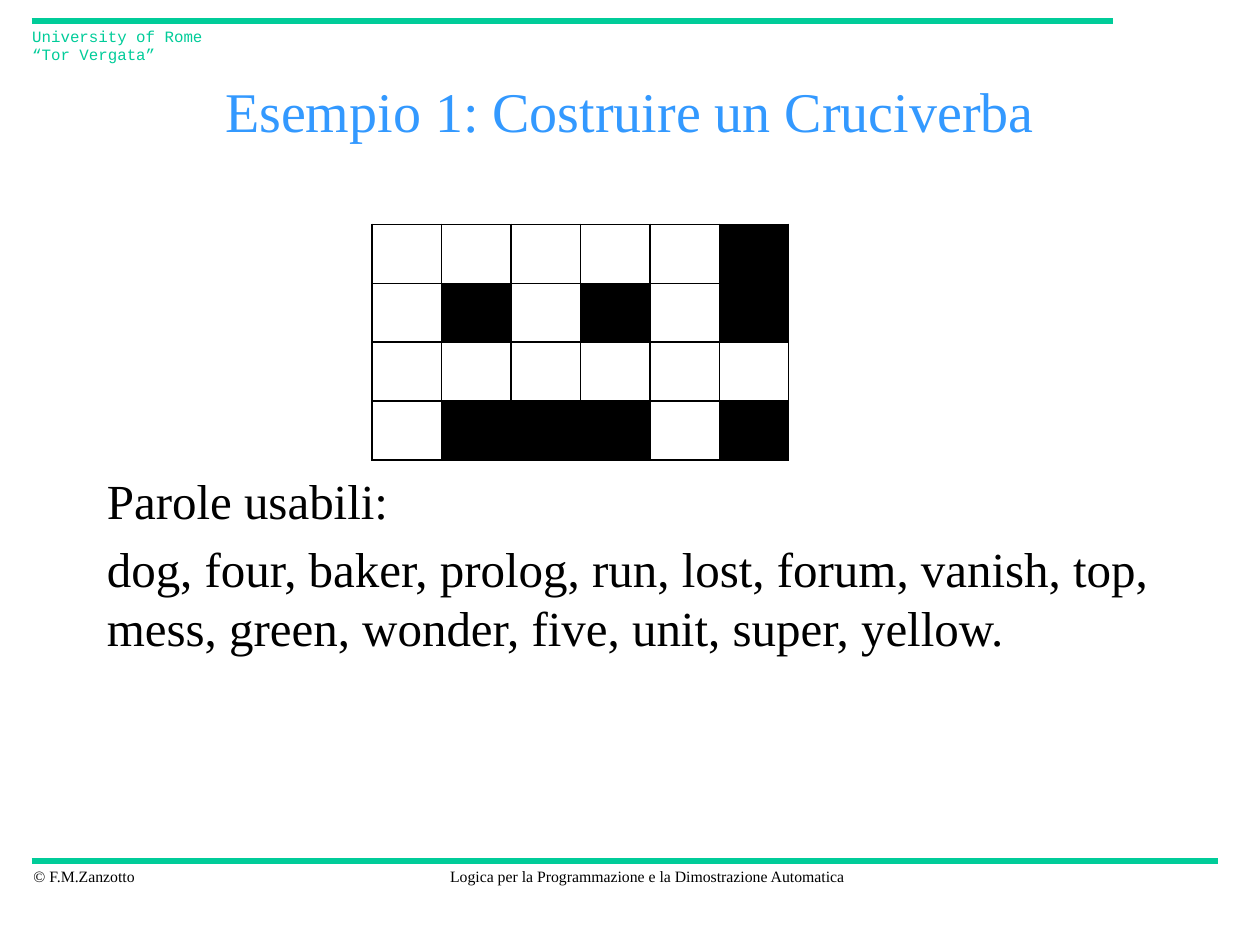
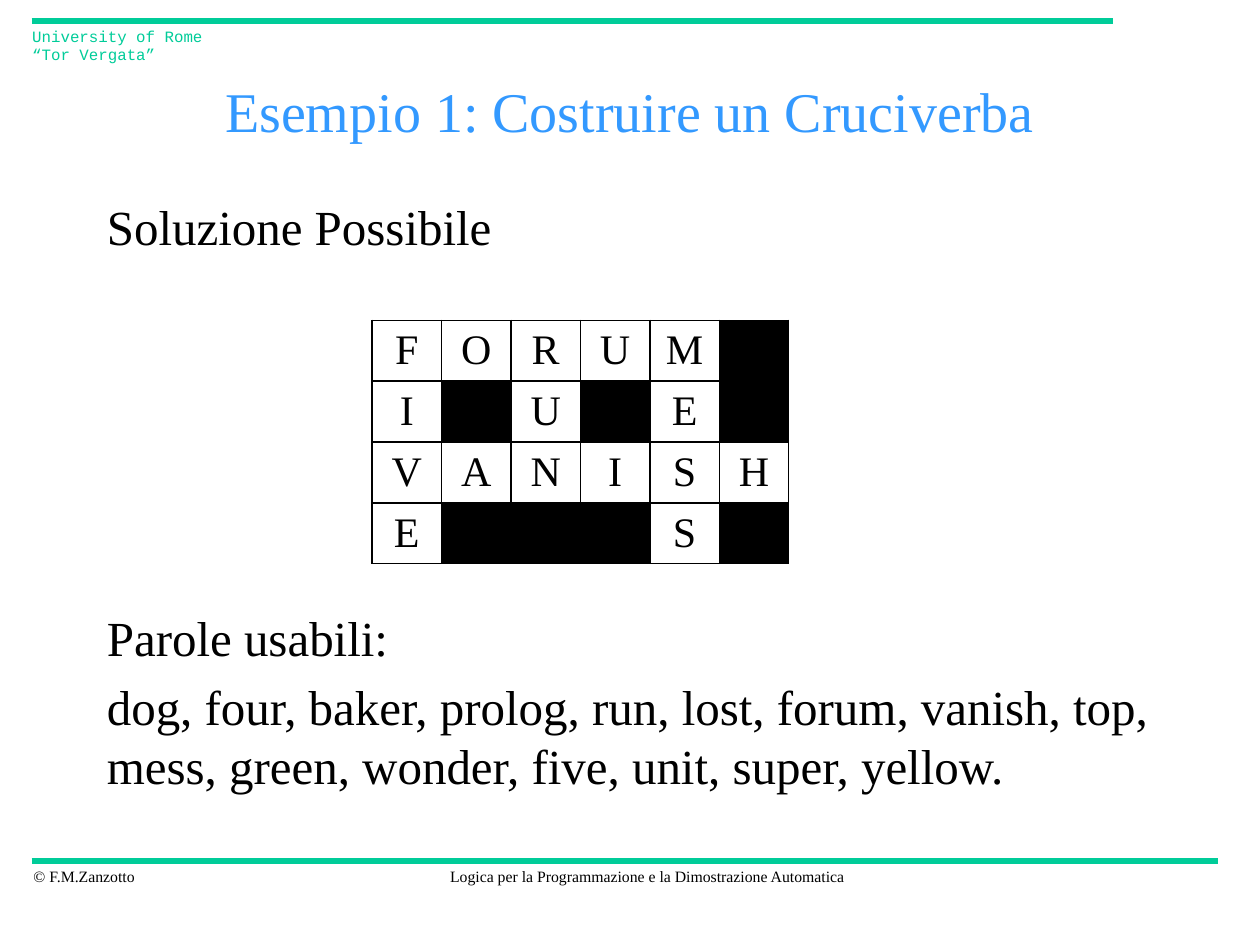
from lxml import etree
from pptx import Presentation
from pptx import util as u
from pptx.dml.color import RGBColor
from pptx.enum import shapes, text
from pptx.oxml.ns import qn

Pt = u.Pt
COLORS = {"band": "00CC99", "title": "3399FF", "ink": "000000", "paper": "FFFFFF"}
SERIF, MONO = "Times New Roman", "Courier New"
LEFT, CENTER = text.PP_ALIGN.LEFT, text.PP_ALIGN.CENTER

TITLE = "Esempio 1: Costruire un Cruciverba"
WORDS = [
    "Parole usabili:",
    "dog, four, baker, prolog, run, lost, forum, vanish, top, "
    "mess, green, wonder, five, unit, super, yellow.",
]
# '#' marks a black square
SOLUTION = ["FORUM#", "I#U#E#", "VANISH", "E###S#"]
CELL_W, CELL_H = 39.7, 33.7
GRID_LEFT = 212.6


def rgb(name):
    return RGBColor.from_string(COLORS[name])


def style(p, size, color="ink", font=SERIF, align=LEFT):
    p.alignment = align
    p.font.size = Pt(size)
    p.font.name = font
    p.font.color.rgb = rgb(color)


def add_text(s, box, lines, size, color="ink", font=SERIF, align=LEFT,
             wrap=True, pitch=None, gap=0, anchor=text.MSO_ANCHOR.TOP):
    """Text box with one paragraph per line."""
    tf = s.shapes.add_textbox(*map(Pt, box)).text_frame
    tf.word_wrap = wrap
    tf.vertical_anchor = anchor
    tf.text = "\n".join(lines)
    for p in tf.paragraphs:
        style(p, size, color, font, align)
        p.space_after = Pt(gap)
        if pitch:
            p.line_spacing = Pt(pitch)


def add_band(s, y, right):
    """Horizontal rule from the left margin."""
    ln = s.shapes.add_connector(shapes.MSO_CONNECTOR.STRAIGHT,
                                Pt(18), Pt(y), Pt(right), Pt(y))
    ln.line.color.rgb = rgb("band")
    ln.line.width = Pt(3)
    etree.SubElement(ln._element.spPr, qn("a:effectLst"))


def add_frame(s):
    """Bands, header, footers and title shared by the slides."""
    add_band(s, 492, 696)
    add_band(s, 12, 636)
    add_text(s, (12, 492, 73.5, 18), ["© F.M.Zanzotto"], 9, wrap=False)
    add_text(s, (248.5, 492, 242.5, 18),
             ["Logica per la Programmazione e la Dimostrazione Automatica"],
             9, align=CENTER, wrap=False)
    add_text(s, (11.3, 11.5, 123, 29), ["University of Rome", "“Tor Vergata”"],
             9, "band", MONO, wrap=False, pitch=10.8)
    add_text(s, (54, 36, 612, 54), [TITLE], 32, "title", align=CENTER,
             anchor=text.MSO_ANCHOR.MIDDLE)


def add_body(s, top, lines):
    add_text(s, (54, top, 612, 40 * len(lines)), lines, 28, pitch=33.6, gap=5.6)


def add_borders(cell):
    """Thin black line on all four sides, placed ahead of the cell fill."""
    tc_pr = cell._tc.get_or_add_tcPr()
    for i, side in enumerate(("lnL", "lnR", "lnT", "lnB")):
        ln = etree.Element(qn(f"a:{side}"), w=str(Pt(1)))
        fill = etree.SubElement(ln, qn("a:solidFill"))
        etree.SubElement(fill, qn("a:srgbClr"), val=COLORS["ink"])
        tc_pr.insert(i, ln)


def add_crossword(s, top, show_letters):
    rows, cols = len(SOLUTION), len(SOLUTION[0])
    table = s.shapes.add_table(rows, cols, Pt(GRID_LEFT), Pt(top),
                               Pt(cols * CELL_W), Pt(rows * CELL_H)).table
    table.first_row = table.horz_banding = False
    for row, word in zip(table.rows, SOLUTION):
        for cell, letter in zip(row.cells, word):
            black = letter == "#"
            cell.fill.solid()
            cell.fill.fore_color.rgb = rgb("ink" if black else "paper")
            add_borders(cell)
            cell.margin_top = cell.margin_bottom = Pt(3)
            cell.vertical_anchor = text.MSO_ANCHOR.MIDDLE
            if show_letters and not black:
                cell.text = letter
                style(cell.text_frame.paragraphs[0], 24, align=CENTER)


def main():
    prs = Presentation()
    prs.slide_width, prs.slide_height = Pt(720), Pt(540)
    blank = prs.slide_layouts[6]

    # Empty crossword
    s = prs.slides.add_slide(blank)
    add_frame(s)
    add_body(s, 265.3, WORDS)
    add_crossword(s, 128.2, show_letters=False)

    # Solved crossword
    s = prs.slides.add_slide(blank)
    add_frame(s)
    add_body(s, 108.5, ["Soluzione Possibile"])
    add_body(s, 343.9, WORDS)
    add_crossword(s, 183, show_letters=True)

    prs.save("out.pptx")


if __name__ == "__main__":
    main()
